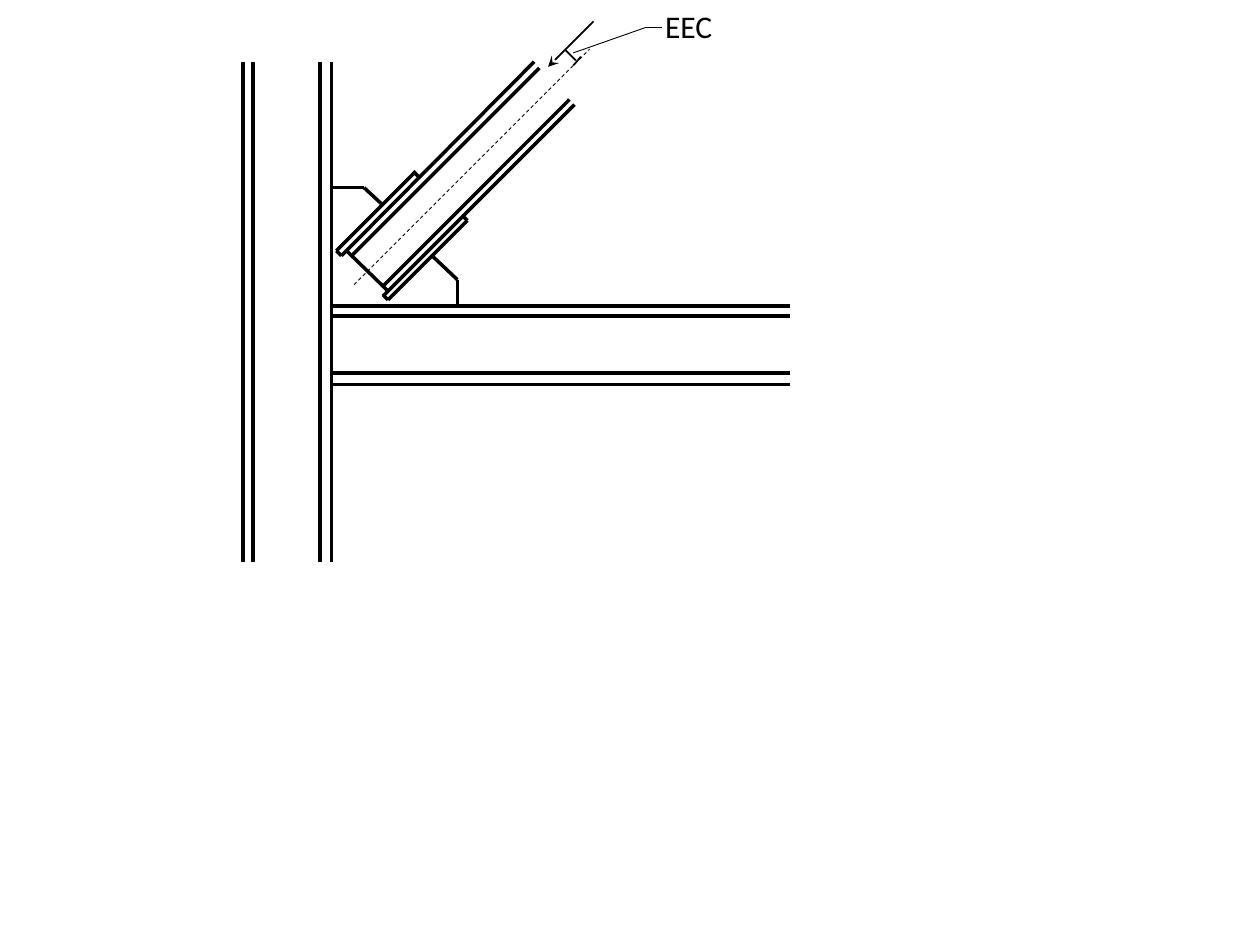
from lxml import etree
from pptx import Presentation
from pptx.dml.color import RGBColor
from pptx.enum import dml, shapes
from pptx.oxml.ns import qn
from pptx.util import Inches, Pt

BLACK = "000000"


def color(hex_value):
    return RGBColor.from_string(hex_value)


presentation = Presentation()
presentation.slide_width, presentation.slide_height = Inches(10), Inches(7.5)
slide = presentation.slides.add_slide(presentation.slide_layouts[6])
drawing = slide.shapes.add_group_shape()


def add_line(x1, y1, x2, y2, width=2):
    line = drawing.shapes.add_connector(
        shapes.MSO_CONNECTOR.STRAIGHT, *map(Inches, (x1, y1, x2, y2)))
    line.line.color.rgb = color(BLACK)
    line.line.width = Pt(width)
    etree.SubElement(line._element.spPr, qn("a:effectLst"))
    return line


# Column and beam flanges
column_face = 2.63
for x in (1.93, 2.01, 2.54, column_face):
    add_line(x, 0.49, x, 4.46)
for y in (2.43, 2.51, 2.96, 3.05):
    add_line(column_face, y, 6.27, y)

# Diagonal brace
brace = [
    (2.71, 2.03, 4.24, 0.49),
    (2.79, 2.03, 4.28, 0.54),
    (3.03, 2.28, 4.52, 0.79),
    (3.04, 2.35, 4.56, 0.83),
    (2.75, 1.99, 3.07, 2.30),
]

# Cover plates: long edges, then the short ends
plate_length, plate_thickness = 0.63, 0.04
plate_edges = [(x, y, x + plate_length, y - plate_length)
               for x, y in ((2.67, 1.99), (3.08, 2.38))]
plate_ends = [(x, y, x + plate_thickness, y + plate_thickness)
              for x, y in ((2.67, 1.99), (3.04, 2.34), (3.67, 1.71), (3.28, 1.36))]

# Gusset plate corners
gusset = [
    (3.03, 1.62, 2.89, 1.49),
    (2.89, 1.49, column_face, 1.49),
    (3.63, 2.22, 3.63, 2.41),
    (3.63, 2.22, 3.44, 2.04),
]
for ends in brace + plate_edges + plate_ends + gusset:
    add_line(*ends)

# Brace centre line and load arrow
centre_line = add_line(2.81, 2.26, 4.68, 0.39, 0.5)
centre_line.line.dash_style = dml.MSO_LINE.DASH
load_arrow = add_line(4.71, 0.17, 4.35, 0.53, 1)
etree.SubElement(load_arrow.line._get_or_add_ln(), qn("a:tailEnd"), type="stealth")

# Eccentricity mark and its leader
for ends in ((4.49, 0.40, 4.57, 0.48), (4.55, 0.52, 4.61, 0.45)):
    add_line(*ends, 1)
for ends in ((4.55, 0.42, 5.12, 0.22), (5.12, 0.22, 5.25, 0.22)):
    add_line(*ends, 0.5)

# Label
label = drawing.shapes.add_textbox(*map(Inches, (5.18, 0.01, 0.89, 0.4)))
label.text_frame.word_wrap = True
run = label.text_frame.paragraphs[0].add_run()
run.text = "EEC"
for name, value in {"name": "Calibri", "size": Pt(18)}.items():
    setattr(run.font, name, value)
run.font.color.rgb = color(BLACK)

presentation.save("out.pptx")
